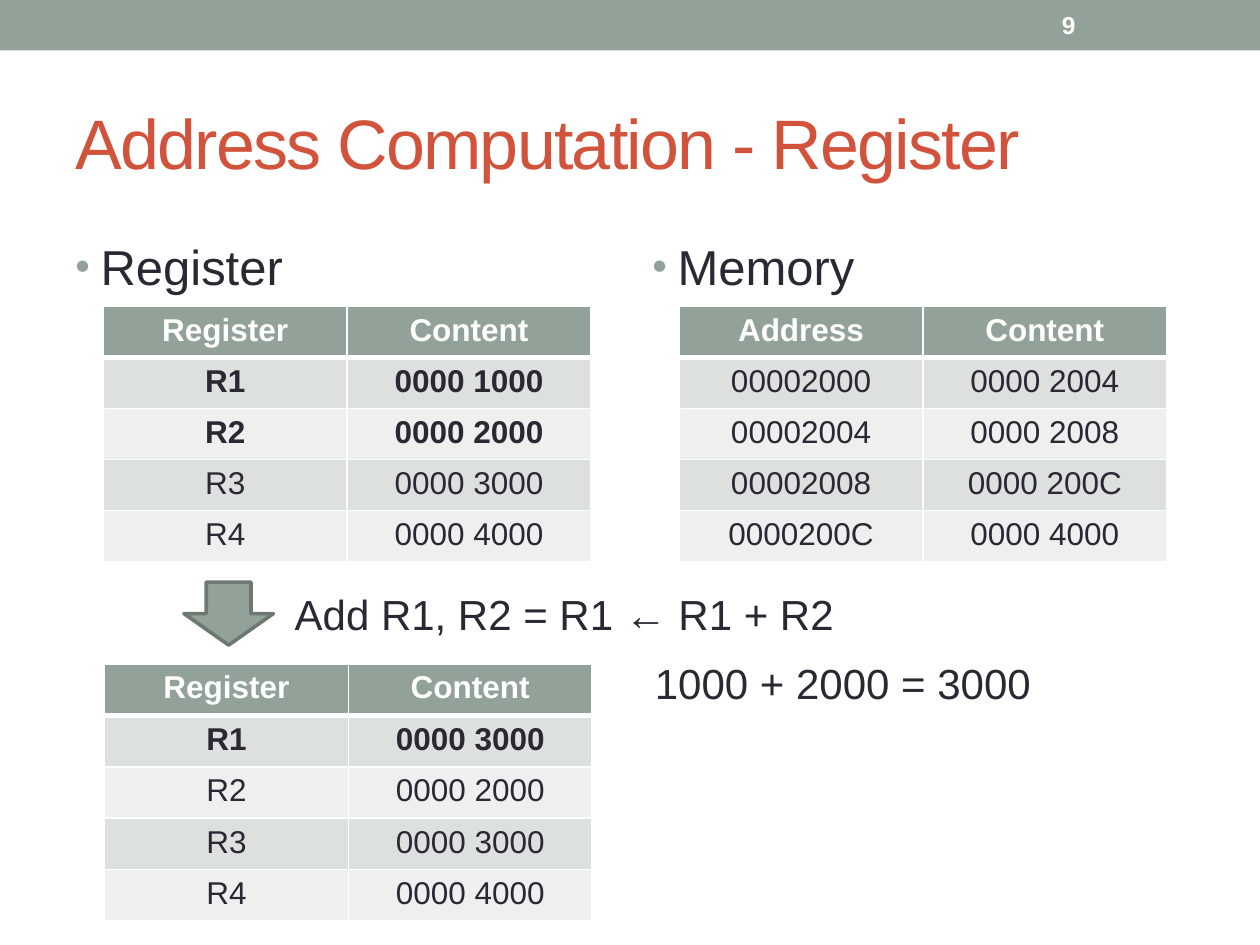
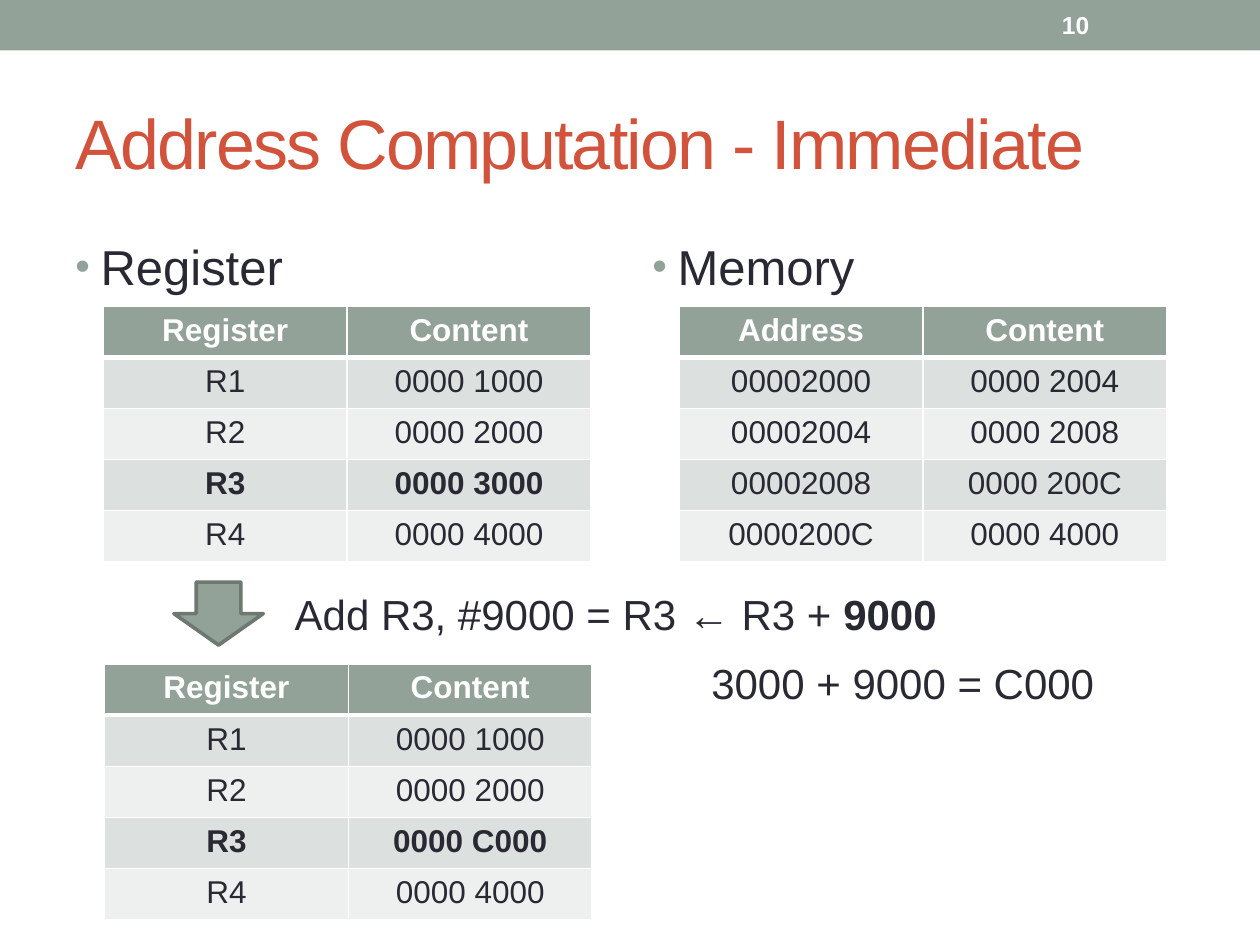
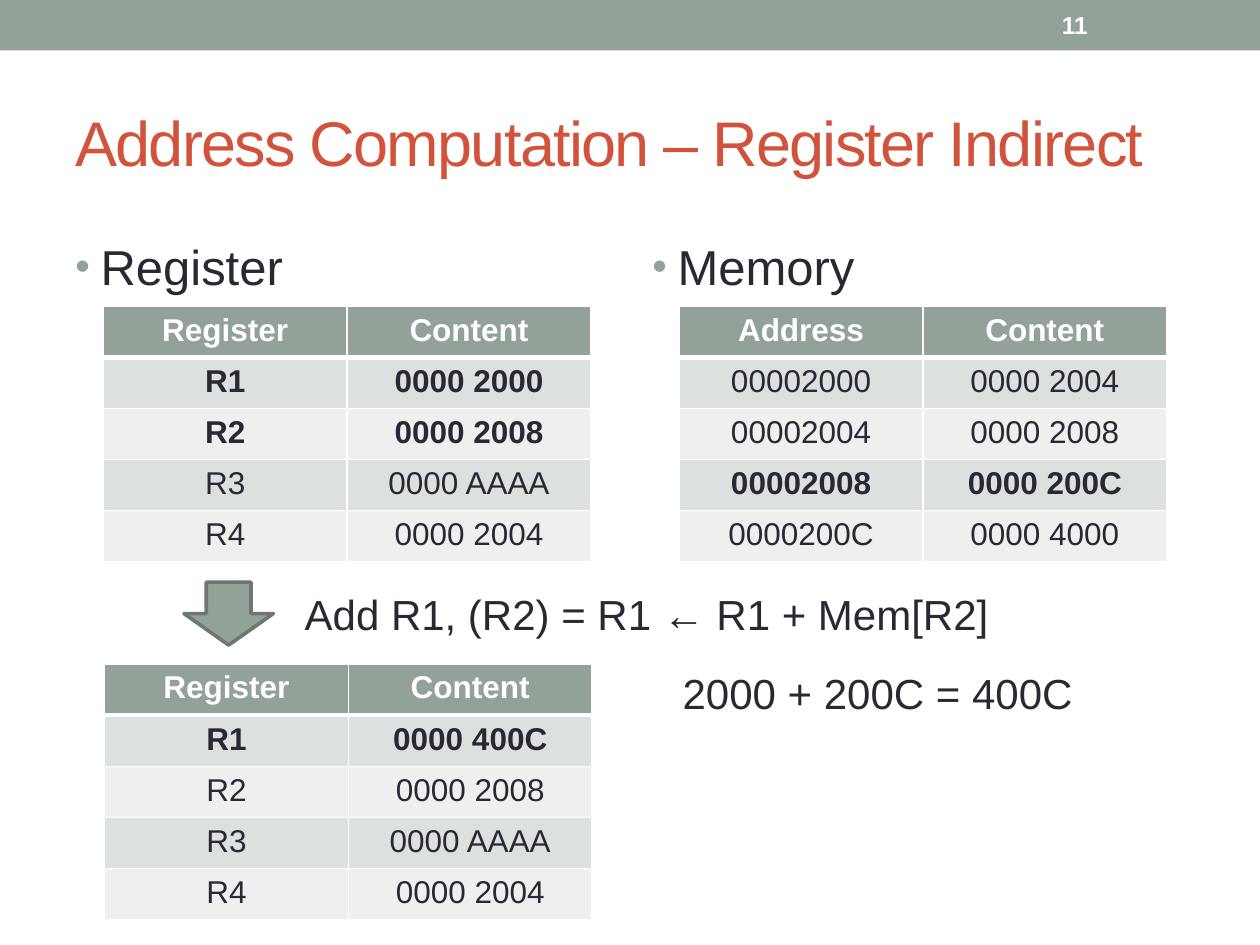
from dataclasses import dataclass

from lxml import etree
from pptx import Presentation
from pptx import util as u
from pptx.dml.color import RGBColor
from pptx.enum import shapes, text
from pptx.oxml import ns, parse_xml


@dataclass(frozen=True)
class Theme:
    font: str = "Arial"
    sage: str = "93A299"
    sage_dark: str = "6D7871"
    title: str = "D2533C"
    ink: str = "292934"
    white: str = "FFFFFF"
    bands: tuple = ("DCE0DE", "EEF0EF")
    title_size: int = 40
    heading_size: int = 28
    formula_size: int = 24
    cell_size: int = 18
    number_size: int = 14


@dataclass(frozen=True)
class Example:
    """One addressing mode: registers before and after, and the sum between them."""
    number: int
    title: str
    before: list
    after: list
    formula: tuple
    formula_box: tuple
    result: str
    result_box: tuple
    bold_before: tuple
    bold_after: tuple
    bold_memory: tuple = ()
    arrow_left: float = 1.46
    title_size: int = Theme.title_size
    after_height: float = 2.03


REGISTERS = ["R1", "R2", "R3", "R4"]
MEMORY = [("00002000", "0000 2004"), ("00002004", "0000 2008"),
          ("00002008", "0000 200C"), ("0000200C", "0000 4000")]

EXAMPLES = [
    Example(9, "Address Computation - Register",
            before=["0000 1000", "0000 2000", "0000 3000", "0000 4000"],
            after=["0000 3000", "0000 2000", "0000 3000", "0000 4000"],
            formula=("Add R1, R2 = R1 ← R1 + R2",),
            formula_box=(2.24, 4.62, 4.72, 0.5),
            result="1000 + 2000 = 3000", result_box=(4.76, 5.17, 3.86, 0.5),
            bold_before=("R1", "R2"), bold_after=("R1",), after_height=2.04),
    Example(10, "Address Computation - Immediate",
            before=["0000 1000", "0000 2000", "0000 3000", "0000 4000"],
            after=["0000 1000", "0000 2000", "0000 C000", "0000 4000"],
            formula=("Add R3, #9000 = R3 ← R3 + ", "9000"),
            formula_box=(2.24, 4.62, 5.75, 0.5),
            result="3000 + 9000 = C000", result_box=(5.47, 5.17, 3.39, 0.5),
            bold_before=("R3",), bold_after=("R3",), arrow_left=1.38),
    Example(11, "Address Computation – Register Indirect",
            before=["0000 2000", "0000 2008", "0000 AAAA", "0000 2004"],
            after=["0000 400C", "0000 2008", "0000 AAAA", "0000 2004"],
            formula=("Add R1, (R2) = R1 ← R1 + Mem[R2]",),
            formula_box=(2.32, 4.62, 5.67, 0.5),
            result="2000 + 200C = 400C", result_box=(5.31, 5.25, 3.31, 0.5),
            bold_before=("R1", "R2"), bold_after=("R1",),
            bold_memory=("00002008",), title_size=36),
]


def rgb(color):
    return RGBColor.from_string(color)


def inches(box):
    return [u.Inches(length) for length in box]


class Deck:
    def __init__(self, theme):
        self.theme = theme
        self.prs = Presentation()
        self.prs.slide_width, self.prs.slide_height = inches((10, 7.5))
        self.slide = None

    def new_slide(self, title, title_size, number):
        """Start a slide with the shared band, number and title."""
        theme = self.theme
        self.slide = self.prs.slides.add_slide(self.prs.slide_layouts[6])
        self.shape(shapes.MSO_SHAPE.RECTANGLE, (0, 0, 10, 0.4))
        self.text(str(number), (8.33, 0.02, 1.17, 0.36), theme.number_size,
                  theme.white, bold=True, anchor=text.MSO_ANCHOR.MIDDLE)
        heading = self.text(title, (0.5, 0.58, 9, 1.08), title_size,
                            theme.title, anchor=text.MSO_ANCHOR.MIDDLE)
        heading.runs[0].font._element.set("spc", "-100")

    def style(self, run, size, color, bold=False):
        font = run.font
        font.name, font.size, font.bold = self.theme.font, u.Pt(size), bold
        font.color.rgb = rgb(color)

    def shape(self, kind, box, line=None):
        shape = self.slide.shapes.add_shape(kind, *inches(box))
        shape.shadow.inherit = False
        shape.fill.solid()
        shape.fill.fore_color.rgb = rgb(self.theme.sage)
        if line:
            shape.line.color.rgb = rgb(line)
            shape.line.width = u.Pt(2.08)
        else:
            shape.line.fill.background()

    def text(self, content, box, size, color, bold=False,
             anchor=text.MSO_ANCHOR.TOP, align=text.PP_ALIGN.LEFT):
        frame = self.slide.shapes.add_textbox(*inches(box)).text_frame
        frame.word_wrap = True
        frame.vertical_anchor = anchor
        frame.text = content
        paragraph = frame.paragraphs[0]
        paragraph.alignment = align
        self.style(paragraph.runs[0], size, color, bold)
        return paragraph

    def bullet(self, content, box):
        paragraph = self.text(content, box, self.theme.heading_size, self.theme.ink)
        props = paragraph._p.get_or_add_pPr()
        props.set("marL", str(u.Inches(0.2)))
        props.set("indent", str(u.Inches(-0.2)))
        for xml in ('<a:spcBef {}><a:spcPct val="20000"/></a:spcBef>',
                    '<a:buClr {}><a:srgbClr val="%s"/></a:buClr>' % self.theme.sage,
                    '<a:buSzPct {} val="85000"/>',
                    '<a:buFont {} typeface="Arial"/>',
                    '<a:buChar {} char="•"/>'):
            props.append(parse_xml(xml.format(ns.nsdecls("a"))))

    def formula(self, parts, box):
        """Write the first part plain and any further part bold."""
        paragraph = self.text(parts[0], box, self.theme.formula_size, self.theme.ink)
        for part in parts[1:]:
            run = paragraph.add_run()
            run.text = part
            self.style(run, self.theme.formula_size, self.theme.ink, bold=True)

    def borders(self, cell, top, bottom):
        props = cell._tc.get_or_add_tcPr()
        sides = {"lnL": 1, "lnR": 1, "lnT": top, "lnB": bottom}
        for place, (side, width) in enumerate(sides.items()):
            line = etree.Element(ns.qn("a:" + side), w=str(u.Pt(width)))
            fill = etree.SubElement(line, ns.qn("a:solidFill"))
            etree.SubElement(fill, ns.qn("a:srgbClr"), val=self.theme.white)
            props.insert(place, line)

    def table(self, header, rows, box, bold_keys):
        """Draw a table; rows whose first cell is in bold_keys are bold."""
        theme = self.theme
        lines = [header, *rows]
        table = self.slide.shapes.add_table(
            len(lines), len(header), *inches(box)).table
        table.horz_banding = False
        for row in table.rows:
            row.height = u.Inches(box[3] / len(lines))
        for r, line in enumerate(lines):
            is_header = r == 0
            fill = theme.sage if is_header else theme.bands[(r - 1) % 2]
            for c, value in enumerate(line):
                cell = table.cell(r, c)
                cell.fill.solid()
                cell.fill.fore_color.rgb = rgb(fill)
                self.borders(cell, top=3 if r == 1 else 1,
                             bottom=3 if is_header else 1)
                cell.text_frame.text = value
                paragraph = cell.text_frame.paragraphs[0]
                paragraph.alignment = text.PP_ALIGN.CENTER
                self.style(paragraph.runs[0], theme.cell_size,
                           theme.white if is_header else theme.ink,
                           bold=is_header or line[0] in bold_keys)

    def example(self, ex):
        theme = self.theme
        self.new_slide(ex.title, ex.title_size, ex.number)
        for heading, left in (("Register", 0.5), ("Memory", 5.08)):
            self.bullet(heading, (left, 1.83, 4.42, 5.16))
        self.table(("Address", "Content"), MEMORY,
                   (5.39, 2.43, 3.87, 2.03), ex.bold_memory)
        for contents, box, bold in (
                (ex.before, (0.82, 2.43, 3.87, 2.03), ex.bold_before),
                (ex.after, (0.83, 5.27, 3.87, ex.after_height), ex.bold_after)):
            self.table(("Register", "Content"), list(zip(REGISTERS, contents)),
                       box, bold)
        self.shape(shapes.MSO_SHAPE.DOWN_ARROW,
                   (ex.arrow_left, 4.62, 0.71, 0.5), line=theme.sage_dark)
        self.formula(ex.formula, ex.formula_box)
        self.text(ex.result, ex.result_box, theme.formula_size, theme.ink,
                  align=text.PP_ALIGN.CENTER)


def main():
    deck = Deck(Theme())
    for ex in EXAMPLES:
        deck.example(ex)
    deck.prs.save("out.pptx")


if __name__ == "__main__":
    main()
